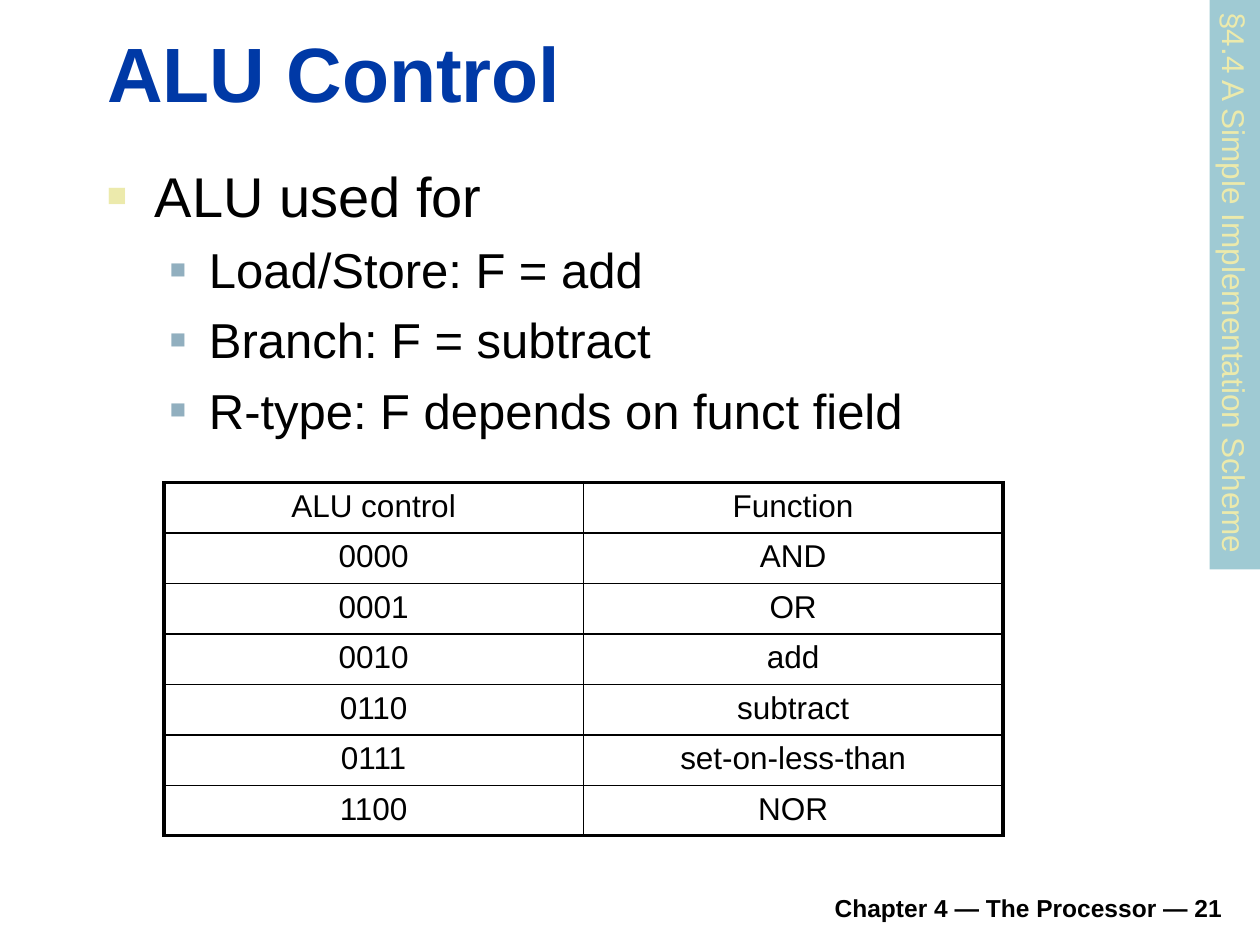
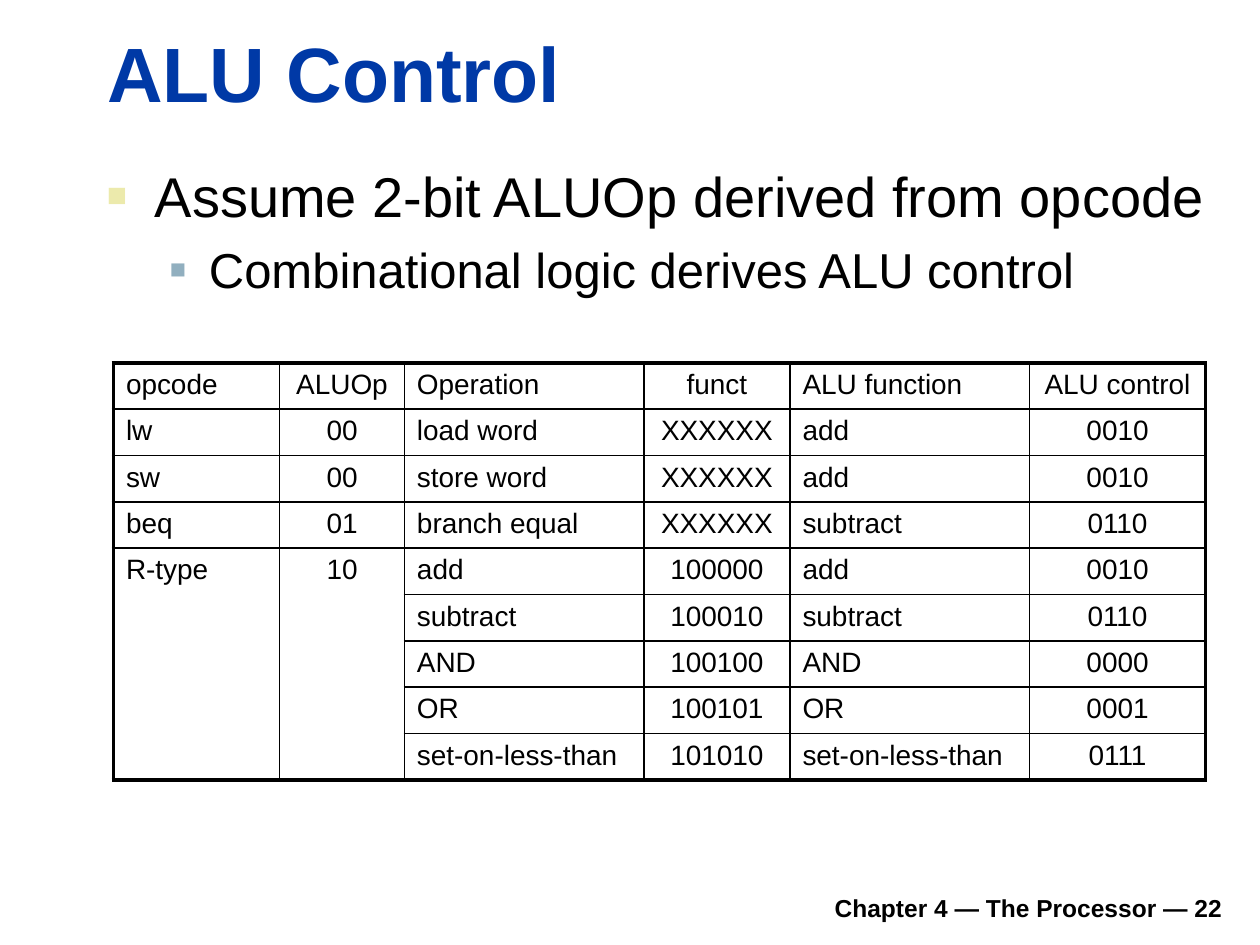
"""Builds two slides on ALU control, each with bullets and a table."""
from lxml import etree
from pptx import Presentation
from pptx.dml.color import RGBColor
from pptx.enum import shapes, text
from pptx.oxml.ns import qn
from pptx.util import Inches, Pt

HUES = {"title": "0039A6", "ink": "000000", "sand": "ECEAAC",
        "steel": "91AFBF", "band": "9FCAD3"}
FACE = "Arial"
PLAIN = "{2D5ABB26-0587-4C30-8999-92F81FD0307C}"
FRAME, HEAD, INNER = 2.25, 1.5, 1
LEVELS = [(0.38, -0.38, "sand", 60, 32), (0.81, -0.31, "steel", 55, 28)]

PAGES = [
    {"number": 21,
     "points": [(0, "ALU used for"), (1, "Load/Store: F = add"),
                (1, "Branch: F = subtract"),
                (1, "R-type: F depends on funct field")],
     "section": "§4.4 A Simple Implementation Scheme",
     "place": (1.3, 3.83, 6.66, 2.8), "widths": [3.33, 3.33],
     "size": 18, "centred": {0, 1}, "merges": [],
     "rows": [["ALU control", "Function"], ["0000", "AND"], ["0001", "OR"],
              ["0010", "add"], ["0110", "subtract"],
              ["0111", "set-on-less-than"], ["1100", "NOR"]]},
    {"number": 22,
     "points": [(0, "Assume 2-bit ALUOp derived from opcode"),
                (1, "Combinational logic derives ALU control")],
     "section": None,
     "place": (0.9, 2.88, 8.67, 3.31),
     "widths": [1.32, 0.99, 1.9, 1.16, 1.9, 1.4],
     "size": 16, "centred": {1, 3, 5}, "merges": [(4, 0, 8, 0), (4, 1, 8, 1)],
     "rows": [["opcode", "ALUOp", "Operation", "funct", "ALU function", "ALU control"],
              ["lw", "00", "load word", "XXXXXX", "add", "0010"],
              ["sw", "00", "store word", "XXXXXX", "add", "0010"],
              ["beq", "01", "branch equal", "XXXXXX", "subtract", "0110"],
              ["R-type", "10", "add", "100000", "add", "0010"],
              ["", "", "subtract", "100010", "subtract", "0110"],
              ["", "", "AND", "100100", "AND", "0000"],
              ["", "", "OR", "100101", "OR", "0001"],
              ["", "", "set-on-less-than", "101010", "set-on-less-than", "0111"]]},
]


def style(para, size, hue="ink", bold=False, align=text.PP_ALIGN.LEFT):
    para.alignment = align
    font = para.font
    font.name, font.size, font.bold = FACE, Pt(size), bold
    font.color.rgb = RGBColor.from_string(HUES[hue])


def add(parent, tag, **attrs):
    return etree.SubElement(parent, qn(tag), {k: str(v) for k, v in attrs.items()})


deck = Presentation()
deck.slide_width, deck.slide_height = Inches(10), Inches(7.5)

for page in PAGES:
    slide = deck.slides.add_slide(deck.slide_layouts[5])

    foot = slide.shapes.add_textbox(Inches(1.85), Inches(6.98), Inches(7.95), Inches(0.39))
    frame = foot.text_frame
    frame.word_wrap = True
    frame.vertical_anchor = text.MSO_ANCHOR.BOTTOM
    frame.text = f"Chapter 4 — The Processor — {page['number']}"
    style(frame.paragraphs[0], 14, bold=True, align=text.PP_ALIGN.RIGHT)

    title = slide.shapes.title
    title.left, title.top = Inches(0.75), Inches(0.16)
    title.width, title.height = Inches(9.03), Inches(0.83)
    frame = title.text_frame
    frame.text = "ALU Control"
    frame.auto_size = text.MSO_AUTO_SIZE.NONE
    frame.vertical_anchor = text.MSO_ANCHOR.BOTTOM
    style(frame.paragraphs[0], 44, "title", bold=True)

    body = slide.shapes.add_textbox(Inches(0.75), Inches(1.23), Inches(9.05), Inches(2.6))
    frame = body.text_frame
    frame.word_wrap = True
    for i, (level, words) in enumerate(page["points"]):
        para = frame.add_paragraph() if i else frame.paragraphs[0]
        margin, indent, hue, scale, size = LEVELS[level]
        para.text = words
        para.level = level
        if i:
            para.space_before = Pt(6.5)
        props = para._p.get_or_add_pPr()
        props.set("marL", str(Inches(margin)))
        props.set("indent", str(Inches(indent)))
        add(add(props, "a:buClr"), "a:srgbClr", val=HUES[hue])
        add(props, "a:buSzPct", val=scale * 1000)
        add(props, "a:buFont", typeface=FACE)
        add(props, "a:buChar", char="■")
        style(para, size)

    if page["section"]:
        band = slide.shapes.add_shape(shapes.MSO_SHAPE.RECTANGLE, Inches(7.54),
                                      Inches(2.06), Inches(4.52), Inches(0.4))
        band.rotation = 90
        band.shadow.inherit = False
        band.fill.solid()
        band.fill.fore_color.rgb = RGBColor.from_string(HUES["band"])
        band.line.fill.background()
        band.text_frame.word_wrap = False
        band.text_frame.text = page["section"]
        style(band.text_frame.paragraphs[0], 18, "sand")

    rows, widths = page["rows"], page["widths"]
    count = len(rows)
    grid = slide.shapes.add_table(count, len(widths), *map(Inches, page["place"])).table
    grid.first_row = grid.horz_banding = False
    grid._tbl.tblPr.find(qn("a:tableStyleId")).text = PLAIN
    for col, width in zip(grid.columns, widths):
        col.width = Inches(width)
    for top, left, low, right in page["merges"]:
        grid.cell(top, left).merge(grid.cell(low, right))

    for r, row in enumerate(rows):
        for c, words in enumerate(row):
            cell = grid.cell(r, c)
            last = r + cell.span_height == count
            edges = {"L": INNER if c else FRAME,
                     "R": FRAME if c + 1 == len(widths) else INNER,
                     "T": FRAME if r == 0 else HEAD if r == 1 else INNER,
                     "B": FRAME if last else HEAD if r == 0 else INNER}
            if cell.is_spanned:
                del edges["T"]
                if not last:
                    del edges["B"]
            else:
                cell.text = words
                align = text.PP_ALIGN.CENTER if c in page["centred"] else text.PP_ALIGN.LEFT
                style(cell.text_frame.paragraphs[0], page["size"], align=align)
            props = cell._tc.get_or_add_tcPr()
            for side, weight in edges.items():
                line = add(props, f"a:ln{side}", w=Pt(weight))
                add(add(line, "a:solidFill"), "a:srgbClr", val=HUES["ink"])
            cell.fill.background()

deck.save("out.pptx")
